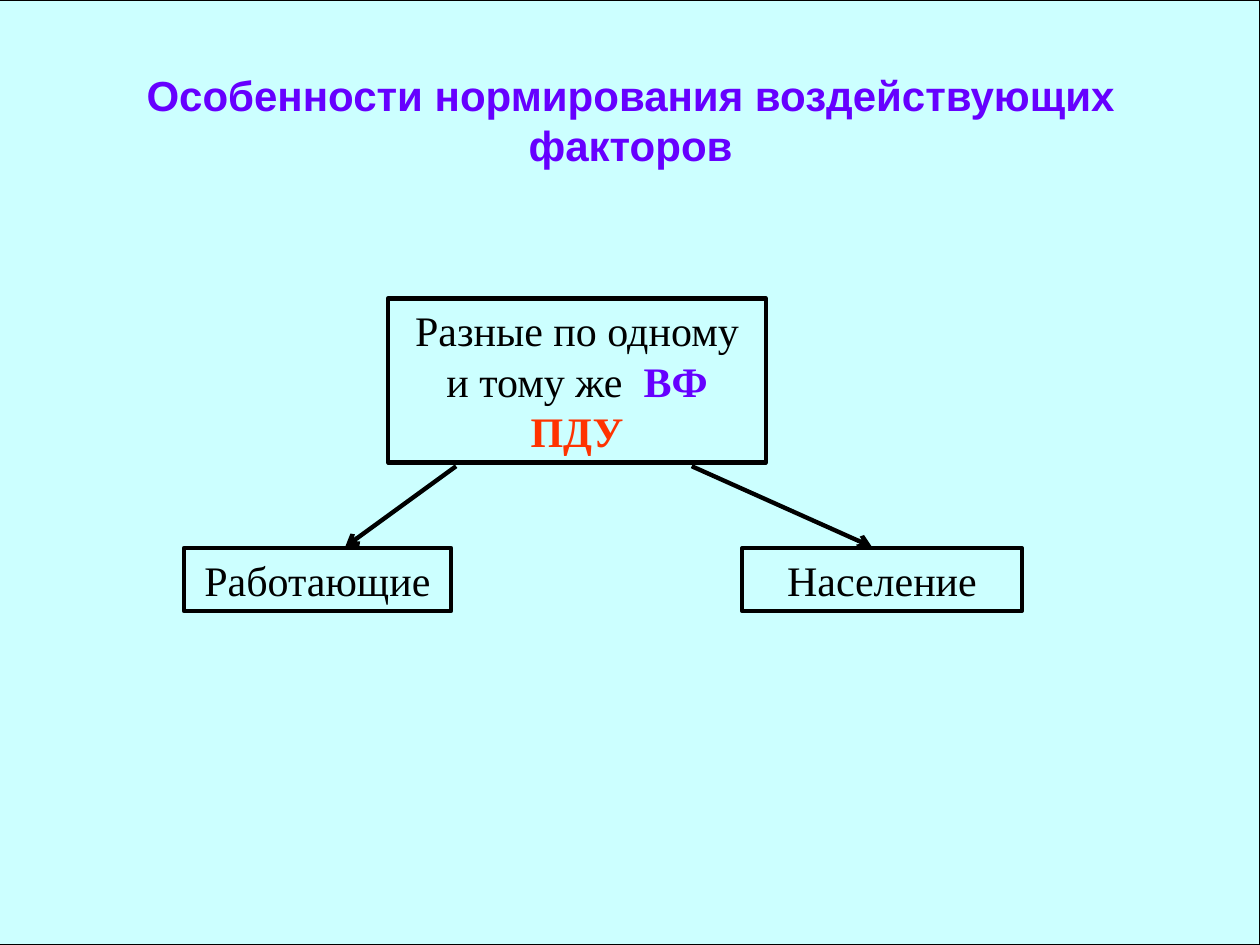
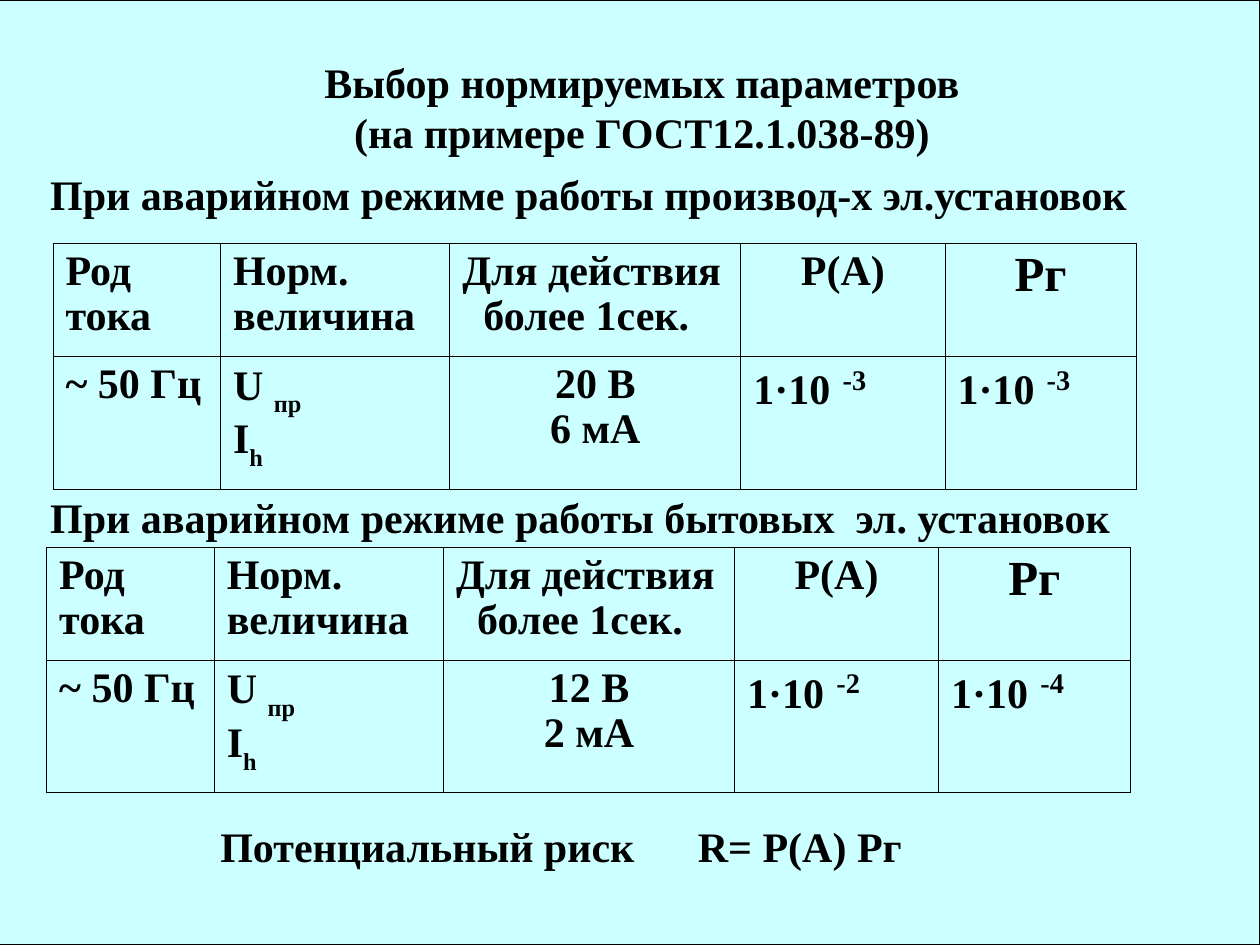
import pptx
import pptx.util
import pptx.dml.color
import pptx.enum.shapes
import pptx.enum.text
import pptx.oxml.ns
from lxml import etree

Inches = pptx.util.Inches
Pt = pptx.util.Pt
RGBColor = pptx.dml.color.RGBColor
LEFT = pptx.enum.text.PP_ALIGN.LEFT
MID = pptx.enum.text.PP_ALIGN.CENTER
RECT = pptx.enum.shapes.MSO_SHAPE.RECTANGLE
STRAIGHT = pptx.enum.shapes.MSO_CONNECTOR.STRAIGHT

BLACK = RGBColor(0x00, 0x00, 0x00)
SKY = RGBColor(0xCC, 0xFF, 0xFF)
VIOLET = RGBColor(0x66, 0x00, 0xFF)
RED = RGBColor(0xFF, 0x33, 0x00)

SERIF = "Times New Roman"
SIZE = 24
BIG = 28
SUB = -30000
SUPER = 30000
BOX_LINE = Pt(2.5)
TEXT_GAP = Pt(28.8)
CELL_GAP = 0.97

COLS = (1.33, 1.82, 2.31, 1.62, 1.52)
ROWS = (0.9, 1.05)


def add_xml(parent, tag, **attrs):
    """Append one DrawingML element."""
    return etree.SubElement(parent, pptx.oxml.ns.qn("a:" + tag), attrs)


def part(text, color=BLACK, bold=True, size=SIZE, font=SERIF, base=0):
    """Describe one run of text."""
    return dict(text=text, color=color, bold=bold, size=size, font=font, base=base)


def write(frame, lines, align=LEFT, gap=TEXT_GAP, tab=None):
    """Fill a frame with lines; each is a string or a list of parts."""
    frame.word_wrap = True
    for i, line in enumerate(lines):
        para = frame.paragraphs[0] if i == 0 else frame.add_paragraph()
        para.alignment = align
        para.line_spacing = gap
        if tab:
            stops = add_xml(para._p.get_or_add_pPr(), "tabLst")
            add_xml(stops, "tab", pos=str(Inches(tab)), algn="l")
        for item in [part(line)] if isinstance(line, str) else line:
            run = para.add_run()
            run.text = item["text"]
            run.font.name = item["font"]
            run.font.size = Pt(item["size"])
            run.font.bold = item["bold"]
            run.font.color.rgb = item["color"]
            if item["base"]:
                run.font._element.set("baseline", str(item["base"]))


def add_rect(slide, left, top, width, height, line, fill=None):
    rect = slide.shapes.add_shape(
        RECT, Inches(left), Inches(top), Inches(width), Inches(height))
    rect.shadow.inherit = False
    if fill is None:
        rect.fill.background()
    else:
        rect.fill.solid()
        rect.fill.fore_color.rgb = fill
    rect.line.color.rgb = BLACK
    rect.line.width = line
    return rect


def add_box(slide, left, top, width, height, line):
    box = add_rect(slide, left, top, width, height, BOX_LINE)
    box.text_frame.vertical_anchor = pptx.enum.text.MSO_ANCHOR.TOP
    write(box.text_frame, [line], MID)


def add_text(slide, left, top, width, height, lines, align=LEFT, tab=None):
    box = slide.shapes.add_textbox(
        Inches(left), Inches(top), Inches(width), Inches(height))
    write(box.text_frame, lines, align, tab=tab)


def add_arrow(slide, x1, y1, x2, y2):
    arrow = slide.shapes.add_connector(
        STRAIGHT, Inches(x1), Inches(y1), Inches(x2), Inches(y2))
    arrow.line.color.rgb = BLACK
    arrow.line.width = BOX_LINE
    add_xml(arrow.line._get_or_add_ln(), "tailEnd", type="arrow")
    add_xml(arrow._element.spPr, "effectLst")


def set_edges(cell):
    props = cell._tc.get_or_add_tcPr()
    for tag in ("lnL", "lnR", "lnT", "lnB"):
        edge = add_xml(props, tag, w=str(Pt(0.45)))
        add_xml(add_xml(edge, "solidFill"), "srgbClr", val=str(BLACK))


def power(value):
    return [[part("1·10"), part(" ", size=BIG),
             part(value, size=BIG, base=SUPER)]]


def add_norms(slide, left, top, limits, chance, risk):
    """Draw the table of limits for one kind of installation."""
    head = [(["Род", "тока"], LEFT),
            (["Норм.", "величина"], LEFT),
            (["Для действия", "более 1сек."], LEFT),
            (["P(A)"], MID),
            ([[part("Рг", size=BIG)]], MID)]
    body = [(["~ 50 Гц"], LEFT),
            ([[part("U "), part("пр", base=SUB)],
              [part("I"), part("h", base=SUB)]], LEFT),
            (limits, MID),
            (power(chance), LEFT),
            (power(risk), LEFT)]
    table = slide.shapes.add_table(
        len(ROWS), len(COLS), Inches(left), Inches(top),
        Inches(sum(COLS)), Inches(sum(ROWS))).table
    table.first_row = table.horz_banding = False
    for col, width in zip(table.columns, COLS):
        col.width = Inches(width)
    for row, height, items in zip(table.rows, ROWS, (head, body)):
        row.height = Inches(height)
        for cell, (lines, align) in zip(row.cells, items):
            write(cell.text_frame, lines, align, CELL_GAP)
            set_edges(cell)
            cell.fill.background()
    # Indent the second line of the duration heading
    para = table.cell(0, 2).text_frame.paragraphs[1]
    para._p.get_or_add_pPr().set("marL", str(Pt(12)))


def new_slide(deck):
    slide = deck.slides.add_slide(deck.slide_layouts[6])
    add_rect(slide, -0.2, 0, 10.2, 7.5, Pt(0.75), SKY)
    return slide


def draw_groups(deck):
    slide = new_slide(deck)
    title = part("Особенности нормирования воздействующих факторов",
                 VIOLET, font="Arial")
    add_text(slide, 0.23, 0.5, 9.55, 1.3, [[title]], MID)
    # Limit levels and the two groups of people
    add_box(slide, 3.08, 2.37, 3, 1.3,
            [part("Разные по одному и тому же  ", bold=False),
             part("ВФ ", VIOLET), part("ПДУ", RED)])
    add_box(slide, 1.46, 4.35, 2.12, 0.5, [part("Работающие", bold=False)])
    add_box(slide, 5.89, 4.35, 2.22, 0.5, [part("Население", bold=False)])
    add_arrow(slide, 3.62, 3.7, 2.74, 4.34)
    add_arrow(slide, 5.49, 3.7, 6.92, 4.34)


def draw_norms(deck):
    slide = new_slide(deck)
    add_text(slide, 0.96, 0.4, 8.27, 0.9,
             ["Выбор нормируемых параметров",
              "(на примере ГОСТ12.1.038-89)"], MID)
    # Industrial and household installations
    add_text(slide, 0.3, 1.29, 9.7, 0.5,
             ["При аварийном режиме работы производ-х эл.установок"])
    add_text(slide, 0.3, 3.85, 9.7, 0.5,
             ["При аварийном режиме работы бытовых  эл. установок"])
    add_norms(slide, 0.42, 1.93, ["20 В", "6 мА"], "-3", "-3")
    add_norms(slide, 0.37, 4.34, ["12 В", "2 мА"], "-2", "-4")
    # Risk formula
    add_text(slide, 1.65, 6.46, 7.88, 0.5,
             ["Потенциальный риск\tR= P(A) Рг"], tab=3.79)


def main():
    deck = pptx.Presentation()
    deck.slide_width = Inches(10)
    deck.slide_height = Inches(7.5)
    draw_groups(deck)
    draw_norms(deck)
    deck.save("out.pptx")


if __name__ == "__main__":
    main()
